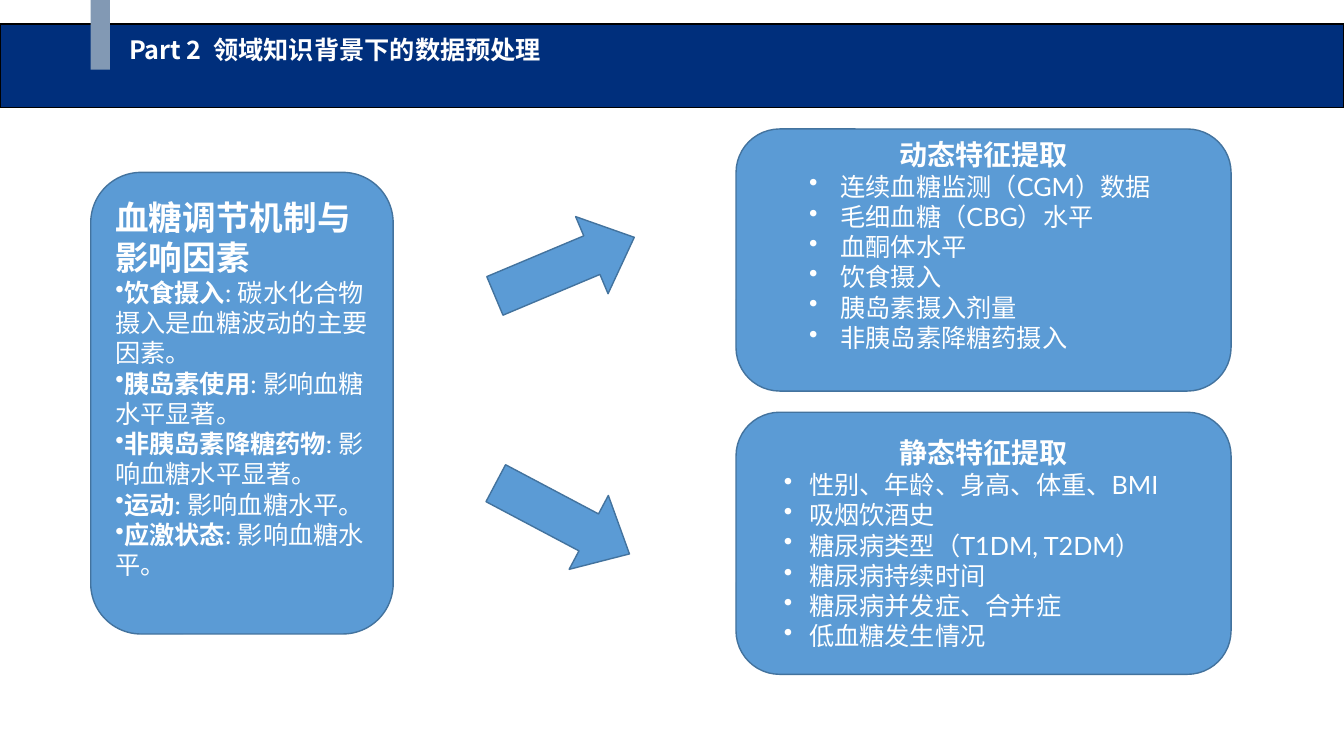
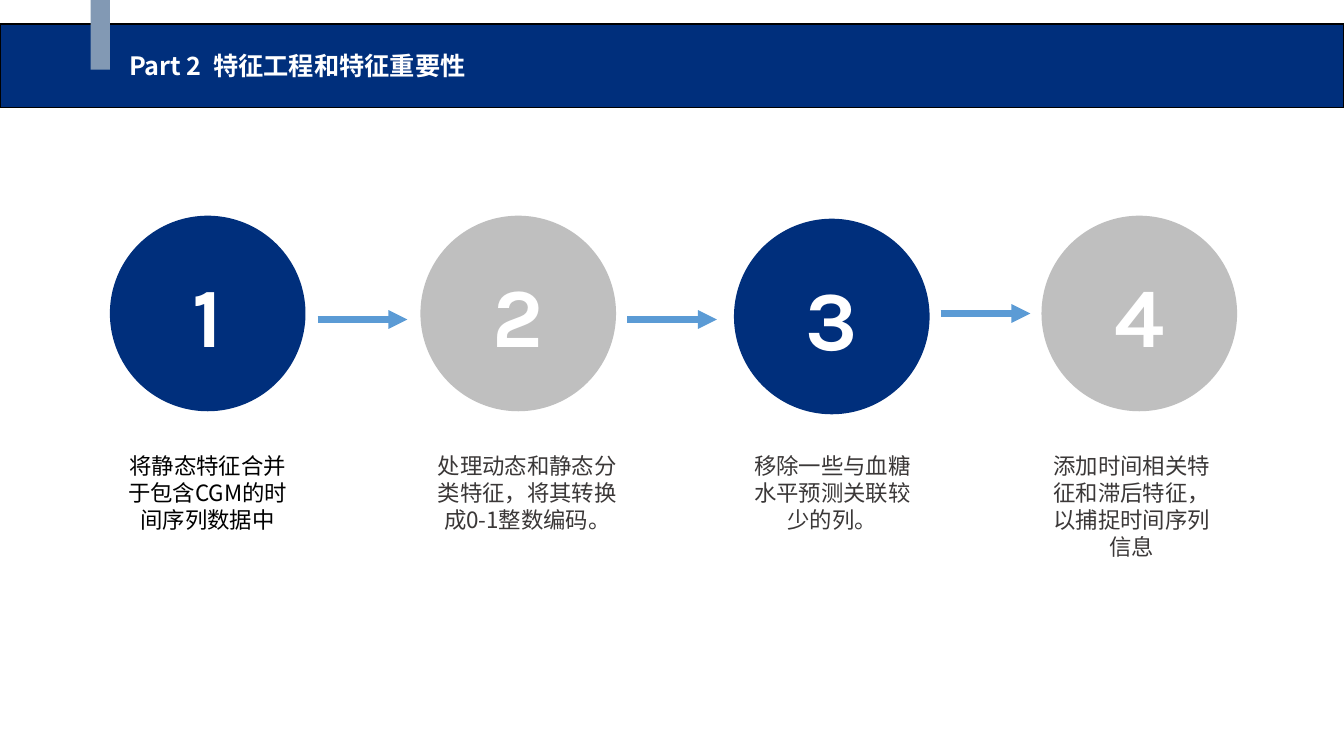
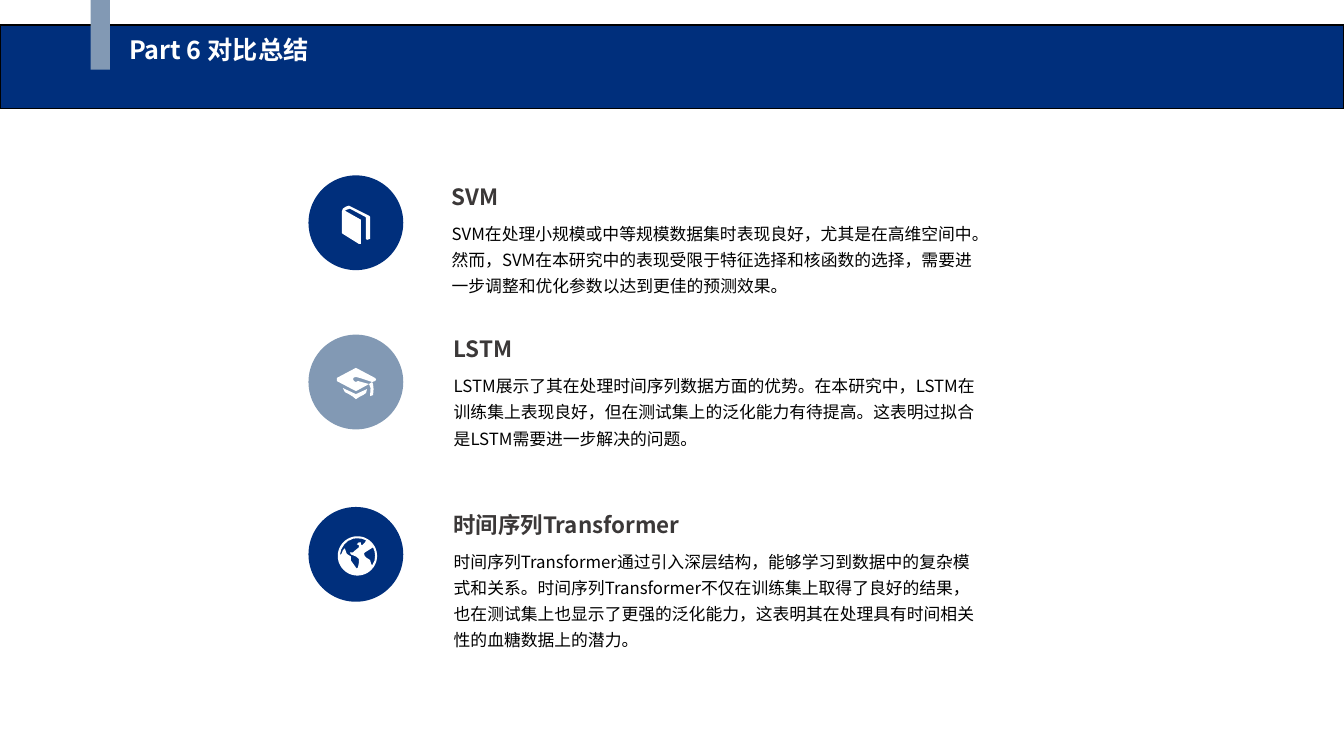
from dataclasses import dataclass
from math import cos, pi, sin
from typing import NamedTuple, Optional

from lxml.etree import SubElement
from pptx import Presentation
from pptx.dml.color import RGBColor
from pptx.enum.shapes import MSO_CONNECTOR as Link, MSO_SHAPE as Preset
from pptx.enum.text import MSO_ANCHOR as Anchor, PP_ALIGN as Align
from pptx.oxml.ns import qn
from pptx.util import Inches, Pt


# Colours, fonts and type sizes
@dataclass(frozen=True)
class Theme:
    navy: str = "002F7C"
    slate: str = "8299B4"
    blue: str = "5B9BD5"
    blue_edge: str = "43739E"
    grey: str = "BFBFBF"
    ink: str = "3B3838"
    black: str = "000000"
    white: str = "FFFFFF"
    sans: str = "Noto Sans CJK SC"
    card_font: str = "Lato"
    digit_font: str = "Karla"
    header: int = 18
    card_lead: int = 24
    card_title: int = 20
    card_body: int = 18
    digit: int = 60
    caption: int = 16
    model: int = 16
    model_body: int = 12
    leading: float = 1.2
    loose: float = 1.56


THEME = Theme()


class Box(NamedTuple):
    left: float
    top: float
    width: float
    height: float


class Style(NamedTuple):
    size: int
    color: str
    font: str = THEME.sans
    bold: bool = False


class Span(NamedTuple):
    text: str
    style: Style


@dataclass(frozen=True)
class Para:
    spans: list[Span]
    align: Align = Align.LEFT
    bullet: bool = False
    margin: float = 0
    indent: float = 0
    leading: Optional[float] = THEME.leading


@dataclass(frozen=True)
class Step:
    left: float
    top: float
    color: str
    caption: str
    caption_left: float
    caption_width: float
    caption_color: str = THEME.ink


@dataclass(frozen=True)
class Model:
    name: str
    verdict: str
    left: float
    top: float
    disc_top: float
    disc_color: str
    icon: list


HEADER = Style(THEME.header, THEME.white, bold=True)
LEAD = Style(THEME.card_lead, THEME.white, THEME.card_font, True)
CARD_TITLE = Style(THEME.card_title, THEME.white, THEME.card_font, True)
CARD_BODY = Style(THEME.card_body, THEME.white, THEME.card_font)
CARD_TERM = CARD_BODY._replace(bold=True)
DIGIT = Style(THEME.digit, THEME.white, THEME.digit_font, True)
MODEL_NAME = Style(THEME.model, THEME.ink, bold=True)
MODEL_BODY = Style(THEME.model_body, THEME.black)


# Drawing helpers
def rgb(color: str) -> RGBColor:
    return RGBColor.from_string(color)


def paint(shape, fill: str, edge: Optional[str] = None) -> None:
    shape.shadow.inherit = False
    shape.fill.solid()
    shape.fill.fore_color.rgb = rgb(fill)
    if edge:
        shape.line.color.rgb = rgb(edge)
        shape.line.width = Pt(1)
    else:
        shape.line.fill.background()


def add_preset(slide, preset: Preset, box: Box, fill: str, edge: Optional[str] = None):
    shape = slide.shapes.add_shape(preset, *map(Inches, box))
    paint(shape, fill, edge)
    return shape


def write(frame, paras: list[Para]) -> None:
    frame.word_wrap = True
    for index, para in enumerate(paras):
        line = frame.add_paragraph() if index else frame.paragraphs[0]
        props = line._p.get_or_add_pPr()
        if para.bullet:
            props.set("marL", str(Inches(para.margin)))
            props.set("indent", str(Inches(para.indent)))
            SubElement(props, qn("a:buChar")).set("char", "•")
        line.alignment = para.align
        if para.leading:
            line.line_spacing = Pt(para.spans[0].style.size * para.leading)
        for text, style in para.spans:
            run = line.add_run()
            run.text = text
            run.font.size = Pt(style.size)
            run.font.bold = style.bold
            run.font.color.rgb = rgb(style.color)
            run.font.name = style.font
            SubElement(run._r.get_or_add_rPr(), qn("a:ea")).set("typeface", style.font)


def add_text(slide, box: Box, para: Para, inset: bool = False) -> None:
    frame = slide.shapes.add_textbox(*map(Inches, box)).text_frame
    if not inset:
        frame.margin_left = frame.margin_right = 0
        frame.margin_top = frame.margin_bottom = 0
    write(frame, [para])


def add_card(slide, box: Box, paras: list[Para], bottom: float = 0.05) -> None:
    card = add_preset(slide, Preset.ROUNDED_RECTANGLE, box, THEME.blue, THEME.blue_edge)
    card.text_frame.vertical_anchor = Anchor.MIDDLE
    card.text_frame.margin_bottom = Inches(bottom)
    write(card.text_frame, paras)


def add_arrow(slide, left: float, right: float, y: float) -> None:
    arrow = slide.shapes.add_connector(Link.STRAIGHT, *map(Inches, (left, y, right, y)))
    arrow.line.color.rgb = rgb(THEME.blue)
    arrow.line.width = Pt(4.5)
    SubElement(arrow.line._get_or_add_ln(), qn("a:tailEnd")).set("type", "triangle")
    SubElement(arrow._element.spPr, qn("a:effectLst"))


def add_icon(slide, contours: list) -> None:
    """Contours hold points in hundredths of an inch on the slide."""
    first, *others = [[(Inches(x / 100), Inches(y / 100)) for x, y in c] for c in contours]
    builder = slide.shapes.build_freeform(*first[0])
    builder.add_line_segments(first[1:])
    for contour in others:
        builder.move_to(*contour[0])
        builder.add_line_segments(contour[1:])
    paint(builder.convert_to_shape(), THEME.white)


def add_header(slide, title: str, top: float = 0.34, band_top: float = 0.24) -> None:
    add_preset(slide, Preset.RECTANGLE, Box(0, band_top, 13.33, 0.83), THEME.navy, THEME.black)
    add_preset(slide, Preset.RECTANGLE, Box(0.9, 0, 0.19, 0.69), THEME.slate)
    add_text(slide, Box(1.28, top, 4.32, 0.3), Para([Span(title, HEADER)]))


# Slide 1: data preparation
FACTORS = [
    ("饮食摄入", ": 碳水化合物摄入是血糖波动的主要因素。"),
    ("胰岛素使用", ": 影响血糖水平显著。"),
    ("非胰岛素降糖药物", ": 影响血糖水平显著。"),
    ("运动", ": 影响血糖水平。"),
    ("应激状态", ": 影响血糖水平。"),
]
DYNAMIC = ["连续血糖监测（CGM）数据", "毛细血糖（CBG）水平", "血酮体水平", "饮食摄入",
           "胰岛素摄入剂量", "非胰岛素降糖药摄入"]
STATIC = ["性别、年龄、身高、体重、BMI", "吸烟饮酒史", "糖尿病类型（T1DM, T2DM）",
          "糖尿病持续时间", "糖尿病并发症、合并症", "低血糖发生情况"]


def feature_list(title: str, items: list[str], margin: float, indent: float) -> list[Para]:
    heading = Para([Span(title, CARD_TITLE)], Align.CENTER)
    return [heading] + [Para([Span(item, CARD_BODY)], bullet=True, margin=margin, indent=indent)
                        for item in items]


def draw_preparation(slide) -> None:
    add_header(slide, "Part 2  领域知识背景下的数据预处理")
    factors = [Para([Span("血糖调节机制与影响因素", LEAD)])]
    factors += [Para([Span(term, CARD_TERM), Span(effect, CARD_BODY)], bullet=True)
                for term, effect in FACTORS]
    add_card(slide, Box(0.9, 1.71, 3, 4.58), factors, bottom=0.35)
    for left, top, angle in ((4.85, 2.23, 337.2), (4.83, 4.73, 27.9)):
        arrow = add_preset(slide, Preset.RIGHT_ARROW, Box(left, top, 1.5, 0.83),
                           THEME.blue, THEME.blue_edge)
        arrow.adjustments[1] = 0.55
        arrow.rotation = angle
    add_card(slide, Box(7.3, 1.28, 4.91, 2.6),
             feature_list("动态特征提取", DYNAMIC, 0.81, -0.31), bottom=0.35)
    add_card(slide, Box(7.3, 4.09, 4.91, 2.6),
             feature_list("静态特征提取", STATIC, 0.5, -0.25))


# Slide 2: feature engineering
STEP_SIZE = 1.94
STEPS = [
    Step(1.09, 2.14, THEME.navy, "将静态特征合并于包含CGM的时间序列数据中", 1.09, 1.94, THEME.black),
    Step(4.17, 2.14, THEME.grey, "处理动态和静态分类特征，将其转换成0-1整数编码。", 4.24, 1.98),
    Step(7.28, 2.17, THEME.navy, "移除一些与血糖水平预测关联较少的列。", 7.38, 1.75),
    Step(10.33, 2.14, THEME.grey, "添加时间相关特征和滞后特征，以捕捉时间序列信息", 10.28, 1.89),
]
STEP_ARROWS = [(3.15, 3.17), (6.22, 3.17), (9.33, 3.11)]


def draw_engineering(slide) -> None:
    add_header(slide, "Part 2  特征工程和特征重要性", top=0.5)
    for number, step in enumerate(STEPS, 1):
        disc = add_preset(slide, Preset.OVAL, Box(step.left, step.top, STEP_SIZE, STEP_SIZE),
                          step.color)
        disc.text_frame.vertical_anchor = Anchor.MIDDLE
        write(disc.text_frame, [Para([Span(str(number), DIGIT)], Align.CENTER, leading=None)])
        caption = Span(step.caption, Style(THEME.caption, step.caption_color))
        add_text(slide, Box(step.caption_left, 4.44, step.caption_width, 0.91),
                 Para([caption], Align.CENTER), inset=True)
    for left, y in STEP_ARROWS:
        add_arrow(slide, left, left + 0.89, y)


# Slide 3: model comparison
BOOK = [[
    (366, 214), (348, 205), (346, 204), (343, 205), (340, 207), (339, 210), (339, 231),
    (340, 232), (356, 242), (358, 242), (358, 218), (342, 209), (344, 208), (347, 207),
    (362, 215), (363, 216), (363, 237), (364, 238), (367, 237), (367, 215),
]]
CAP = [
    [(340, 385), (342, 389), (346, 391), (350, 393.5), (353, 396), (356, 394), (360, 392),
     (363, 390), (364, 386), (353, 391)],
    [(372, 375), (355, 366), (353, 365), (351, 366), (334, 375), (334, 378), (351, 387),
     (353, 388), (355, 387), (366, 381), (355, 378), (353, 379), (351, 378), (350, 376),
     (351, 374.5), (353, 374), (357, 375), (369, 379), (372, 378), (373, 376.5)],
    [(367, 393), (370, 392), (370.5, 386), (370, 381), (369, 379), (366, 381), (367.5, 385)],
]
GLOBE = [
    [(354.5 + 19.5 * cos(k * pi / 24), 551.5 + 19.5 * sin(k * pi / 24)) for k in range(48)],
    [(370, 543), (371.5, 547), (372, 551), (371.5, 556), (369, 561), (368, 559), (367, 555.5),
     (363, 553), (361.5, 551), (361, 549), (362, 548)],
    [(346, 536), (347, 536), (350, 534.5), (354, 534), (359, 534.5), (363, 536), (362, 538),
     (359, 541), (358, 540), (358, 538), (356, 538), (354, 540), (356, 541), (356, 543),
     (351, 547), (350, 548), (347, 548), (348, 550), (353, 552), (356, 554.5), (356, 558),
     (355, 563), (354, 564), (353, 563), (348, 556), (348, 552), (344, 549.5), (342, 544),
     (340, 546), (339, 549), (337, 551), (338.5, 545), (341.5, 540)],
]
DISC_SIZE = 0.94
MODELS = [
    Model("SVM", "SVM在处理小规模或中等规模数据集时表现良好，尤其是在高维空间中。然而，SVM在本研究中的"
          "表现受限于特征选择和核函数的选择，需要进一步调整和优化参数以达到更佳的预测效果。",
          4.48, 1.82, 1.74, THEME.navy, BOOK),
    Model("LSTM", "LSTM展示了其在处理时间序列数据方面的优势。在本研究中，LSTM在训练集上表现良好，"
          "但在测试集上的泛化能力有待提高。这表明过拟合是LSTM需要进一步解决的问题。",
          4.5, 3.33, 3.32, THEME.slate, CAP),
    Model("时间序列Transformer", "时间序列Transformer通过引入深层结构，能够学习到数据中的复杂模式和关系。"
          "时间序列Transformer不仅在训练集上取得了良好的结果，也在测试集上也显示了更强的泛化能力，"
          "这表明其在处理具有时间相关性的血糖数据上的潜力。",
          4.5, 5.07, 5.03, THEME.navy, GLOBE),
]


def draw_comparison(slide) -> None:
    add_header(slide, "Part 6 对比总结", band_top=0.25)
    for model in MODELS:
        add_preset(slide, Preset.OVAL, Box(3.06, model.disc_top, DISC_SIZE, DISC_SIZE),
                   model.disc_color)
        add_icon(slide, model.icon)
        add_text(slide, Box(model.left, model.top, 3.33, 0.27),
                 Para([Span(model.name, MODEL_NAME)]))
        add_text(slide, Box(model.left, model.top + 0.34, 5.25, 0.76),
                 Para([Span(model.verdict, MODEL_BODY)], leading=THEME.loose))


def main() -> None:
    deck = Presentation()
    deck.slide_width, deck.slide_height = Inches(13.33), Inches(7.5)
    for draw in (draw_preparation, draw_engineering, draw_comparison):
        draw(deck.slides.add_slide(deck.slide_layouts[6]))
    deck.save("out.pptx")


if __name__ == "__main__":
    main()
